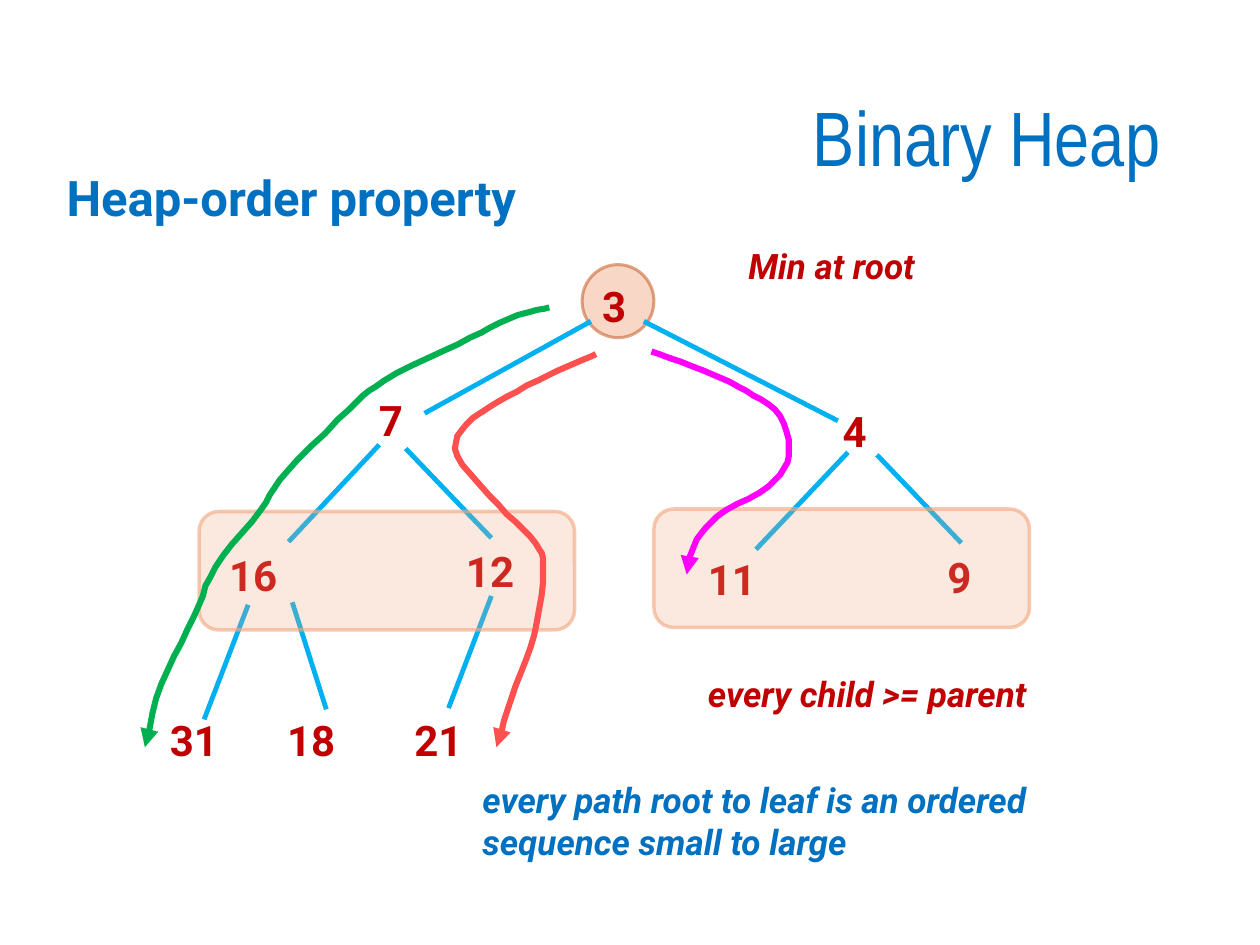
from dataclasses import dataclass
from typing import Any

from lxml import etree
from pptx import Presentation
from pptx.dml.color import RGBColor
from pptx.enum.shapes import MSO_CONNECTOR, MSO_SHAPE
from pptx.enum.text import MSO_ANCHOR, PP_ALIGN
from pptx.oxml.ns import qn
from pptx.util import Pt

PX = 9144  # 100 px to the inch
LINE = MSO_CONNECTOR.STRAIGHT
OVAL, ROUND = MSO_SHAPE.OVAL, MSO_SHAPE.ROUNDED_RECTANGLE
LEFT, RIGHT = PP_ALIGN.LEFT, PP_ALIGN.RIGHT
TOP, MIDDLE = MSO_ANCHOR.TOP, MSO_ANCHOR.MIDDLE
BLUE, RED, SKY = "0070C0", "C00000", "00B0F0"
STEPS = 5


def rgb(code):
    return RGBColor.from_string(code)


def emu(*sizes):
    return [size * PX for size in sizes]


def fade(fill, percent):
    """Make a solid fill partly opaque."""
    color = fill._xPr.find(qn("a:solidFill"))[0]
    etree.SubElement(color, qn("a:alpha")).set("val", str(percent * 1000))


def blend(a, b, c, d, t):
    """Give the Catmull-Rom value between b and c."""
    return (2 * b + (c - a) * t + (2 * a - 5 * b + 4 * c - d) * t ** 2
            + (3 * b - a - 3 * c + d) * t ** 3) / 2


def smooth(knots):
    """Add points so that the knots join in a soft curve."""
    ends = [knots[0], *knots, knots[-1]]
    curve = [knots[0]]
    for four in zip(ends, ends[1:], ends[2:], ends[3:]):
        for step in range(1, STEPS + 1):
            curve.append(tuple(blend(*axis, step / STEPS)
                               for axis in zip(*four)))
    return curve


@dataclass
class Board:
    slide: Any
    font: str = "Roboto"

    def text(self, box, words, size, color, bold=True, italic=False,
             font=None, align=LEFT, anchor=TOP):
        frame = self.slide.shapes.add_textbox(*emu(*box)).text_frame
        frame.word_wrap = True
        frame.vertical_anchor = anchor
        para = frame.paragraphs[0]
        para.alignment = align
        run = para.add_run()
        run.text = words
        style = run.font
        style.name, style.size = font or self.font, Pt(size)
        style.bold, style.italic = bold, italic
        style.color.rgb = rgb(color)
        return para

    def panel(self, kind, box, fill, line, width):
        """Draw a see-through shape; fill and line are (color, percent)."""
        shape = self.slide.shapes.add_shape(kind, *emu(*box))
        shape.shadow.inherit = False
        shape.line.width = Pt(width)
        for paint, (color, percent) in ((shape.fill, fill),
                                        (shape.line.fill, line)):
            paint.solid()
            paint.fore_color.rgb = rgb(color)
            fade(paint, percent)

    def edge(self, start, end):
        link = self.slide.shapes.add_connector(LINE, *emu(*start, *end))
        link.line.width = Pt(2.75)
        link.line.color.rgb = rgb(SKY)
        etree.SubElement(link._element.spPr, qn("a:effectLst"))

    def trail(self, knots, color):
        pen = self.slide.shapes.build_freeform(*knots[0], scale=PX)
        pen.add_line_segments(smooth(knots)[1:], close=False)
        shape = pen.convert_to_shape()
        shape.shadow.inherit = False
        shape.fill.background()
        shape.line.width = Pt(3.5)
        shape.line.color.rgb = rgb(color)
        line = shape.line._get_or_add_ln()
        etree.SubElement(line, qn("a:round"))
        etree.SubElement(line, qn("a:tailEnd")).set("type", "triangle")


NODES = {"4": (659, 317), "31": (125, 562), "18": (218, 562),
         "11": (552, 434), "9": (742, 433), "3": (468, 218),
         "7": (291, 308), "12": (360, 428), "16": (172, 431),
         "21": (319, 562)}
EDGES = [((232, 478), (259, 563)), ((469, 255), (337, 328)),
         ((665, 334), (511, 255)), ((301, 353), (229, 430)),
         ((673, 359), (600, 436)), ((696, 361), (763, 431)),
         ((322, 356), (390, 427)), ((390, 473), (356, 562)),
         ((197, 480), (162, 571))]
NOTES = [((552, 529, 440, 44), "every child >= parent", RED),
         ((584, 189, 241, 44), "Min at root", RED),
         ((373, 613, 519, 77), "every path root to leaf is an ordered "
          "sequence small to large", BLUE)]
TRAILS = {
    "FF5050": [(473, 281), (443, 294), (402, 315), (370, 337), (363, 362),
               (396, 401), (425, 431), (431, 454), (424, 504), (406, 554),
               (394, 593)],
    "00B050": [(436, 244), (404, 253), (364, 273), (305, 302), (277, 325),
               (228, 374), (206, 406), (171, 450), (154, 489), (128, 543),
               (115, 593)],
    "FF00FF": [(517, 279), (558, 294), (592, 310), (619, 330), (626, 362),
               (610, 386), (569, 410), (551, 433), (545, 456)]}


def main():
    deck = Presentation()
    deck.slide_width, deck.slide_height = emu(1000, 750)
    board = Board(deck.slides.add_slide(deck.slide_layouts[6]))

    board.panel(OVAL, (462, 210, 57, 58), ("F6C6AD", 69), ("C04F15", 49), 1.75)
    title = board.text((69, 40, 862, 145), "Binary Heap", 44, BLUE, bold=False,
                       font="Arial Narrow", align=RIGHT, anchor=MIDDLE)
    head = board.text((31, 133, 900, 65), "Heap-order property", 28, BLUE)
    title.line_spacing = head.line_spacing = 0.9
    head.space_before = Pt(12)
    head._p.get_or_add_pPr().set("marL", str(12 * PX))

    for start, end in EDGES:
        board.edge(start, end)
    for key, corner in NODES.items():
        width = 76 if len(key) > 1 else 54
        board.text((*corner, width, 57), key, 24, RED)
    for box, words, color in NOTES:
        board.text(box, words, 20, color, italic=True)
    for left, top in ((519, 404), (158, 406)):
        board.panel(ROUND, (left, top, 298, 94),
                    ("F2AA84", 25), ("F2AA84", 63), 2)
    for color, knots in TRAILS.items():
        board.trail(knots, color)

    deck.save("out.pptx")


if __name__ == "__main__":
    main()
